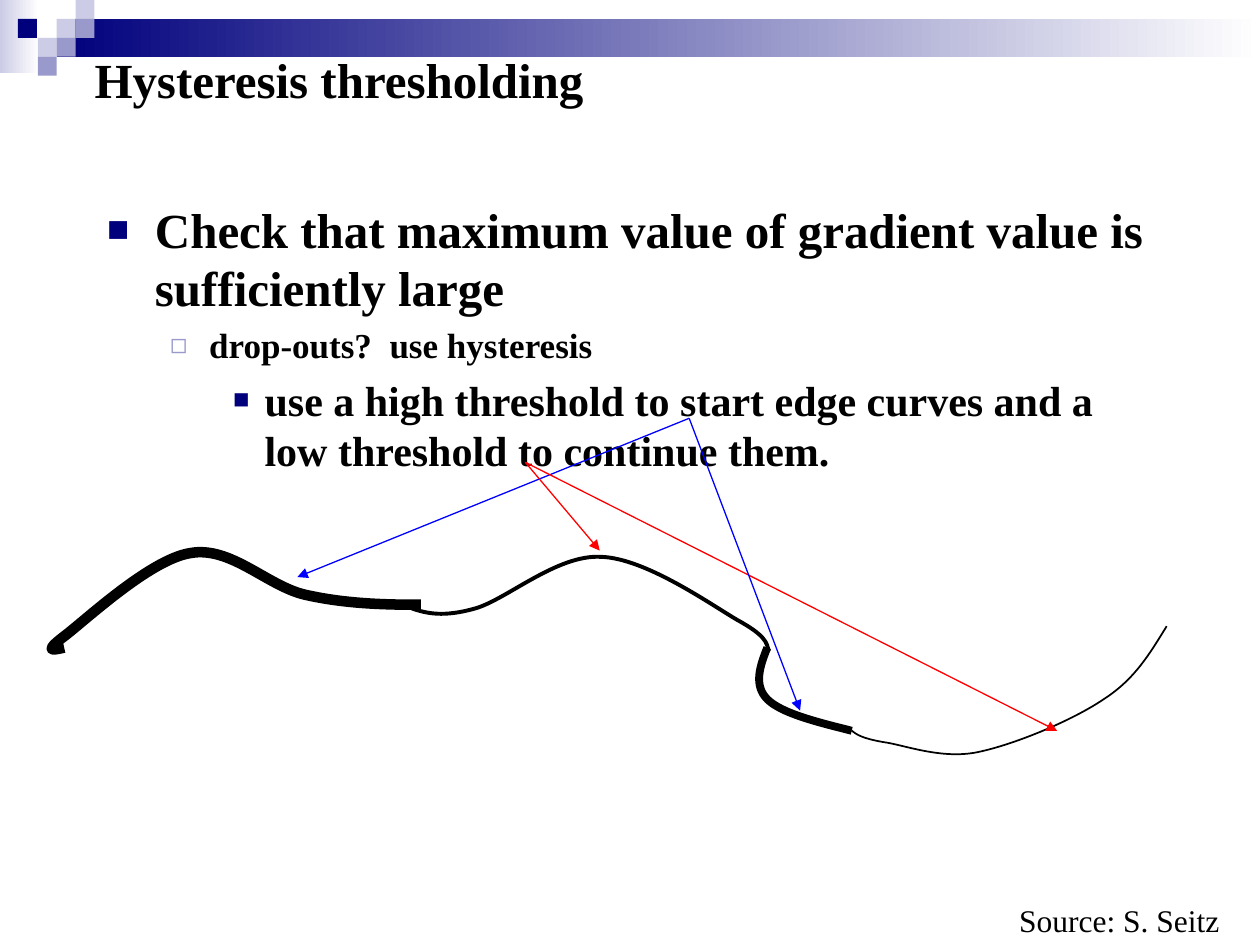
from lxml import etree
from pptx import Presentation, util as u
from pptx.dml.color import RGBColor
from pptx.enum import shapes, text
from pptx.oxml import ns

BLACK = RGBColor(0x00, 0x00, 0x00)
WHITE = RGBColor(0xFF, 0xFF, 0xFF)
NAVY = RGBColor(0x00, 0x00, 0x7D)
LILAC = RGBColor(0x99, 0x99, 0xCC)
PALE = RGBColor(0xCC, 0xCC, 0xE6)
BLUE = RGBColor(0x00, 0x00, 0xFF)
RED = RGBColor(0xFF, 0x00, 0x00)
FONT = "Times New Roman"
SQUARE = 0.15  # side of one header grid cell, in inches


def add_run(paragraph, words, **formats):
    run = paragraph.add_run()
    run.text = words
    run.font.color.rgb = BLACK
    for name, value in {"name": FONT, **formats}.items():
        setattr(run.font, name, value)


def add_block(left, top, width, height, colors):
    block = slide.shapes.add_shape(
        shapes.MSO_SHAPE.RECTANGLE, *map(u.Inches, (left, top, width, height)))
    block.shadow.inherit = False
    block.line.fill.background()
    if len(colors) == 1:
        block.fill.solid()
        block.fill.fore_color.rgb = colors[0]
    else:
        block.fill.gradient()
        block.fill.gradient_angle = 0
        for stop, color in zip(block.fill.gradient_stops, colors):
            stop.color.rgb = color


presentation = Presentation()
presentation.slide_width, presentation.slide_height = u.Inches(10), u.Inches(7.5)
slide = presentation.slides.add_slide(presentation.slide_layouts[1])

# Header: two fading bars and a mosaic of squares (column, row, colour)
add_block(0, 0, 0.31, 0.58, [PALE, WHITE])
add_block(3 * SQUARE, SQUARE, 10 - 3 * SQUARE, 2 * SQUARE, [NAVY, WHITE])
for column, row, color in [(3, 1, PALE), (4, 0, PALE), (4, 1, LILAC), (2, 2, PALE),
                           (0.95, 1, NAVY), (3, 2, LILAC), (2, 3, LILAC)]:
    add_block(column * SQUARE, row * SQUARE, SQUARE, SQUARE, [color])

# Title and body placeholders, brought in front of the header
title, body = slide.placeholders
for placeholder, top, height, anchor in [
        (title, 0, 1.25, text.MSO_ANCHOR.MIDDLE), (body, 1.47, 4.5, text.MSO_ANCHOR.TOP)]:
    slide.shapes._spTree.append(placeholder._element)
    placeholder.left = u.Inches(0.65 if placeholder is title else 0.75)
    placeholder.top, placeholder.height = u.Inches(top), u.Inches(height)
    placeholder.width = u.Inches(8.5)
    frame_formats = {"auto_size": text.MSO_AUTO_SIZE.NONE, "word_wrap": True,
                     "vertical_anchor": anchor}
    for name, value in frame_formats.items():
        setattr(placeholder.text_frame, name, value)
body.text_frame.margin_top = u.Inches(0.11)

heading = title.text_frame.paragraphs[0]
heading.alignment = text.PP_ALIGN.LEFT
add_run(heading, "Hysteresis thresholding", size=u.Pt(28), bold=True)

# Bullets: words, size, text indent, hanging indent, symbol, colour, symbol size
bullets = [
    ("Check that maximum value of gradient value is sufficiently large",
     28, 0.38, 0.38, "■", NAVY, 75),
    ("drop-outs?  use hysteresis", 20, 0.81, 0.31, "◻", LILAC, 80),
    ("use a high threshold to start edge curves and a low threshold to continue them.",
     24, 1.25, 0.25, "■", NAVY, 65),
]
for level, (words, size, indent, hanging, symbol, color, percent) in enumerate(bullets):
    paragraph = body.text_frame.add_paragraph() if level else body.text_frame.paragraphs[0]
    paragraph.level = level
    paragraph.space_before = u.Pt(0.2 * size if level else 0)
    properties = paragraph._p.get_or_add_pPr()
    properties.set("marL", str(u.Inches(indent)))
    properties.set("indent", str(-u.Inches(hanging)))
    bullet_color = etree.SubElement(properties, ns.qn("a:buClr"))
    etree.SubElement(bullet_color, ns.qn("a:srgbClr"), val=str(color))
    etree.SubElement(properties, ns.qn("a:buSzPct"), val=str(percent * 1000))
    etree.SubElement(properties, ns.qn("a:buChar"), char=symbol)
    add_run(paragraph, words, size=u.Pt(size), bold=True)

# Edge curves: width in points, then start and Bezier points in hundredths of an inch
edge_curves = [
    (6, [(51, 514), (42, 516), (34, 518), (51, 505), (67, 493), (119, 444), (151, 439),
         (183, 433), (212, 465), (242, 472), (273, 479), (303, 480), (334, 480)]),
    (2.25, [(327, 483), (339, 487), (352, 490), (377, 483), (402, 476), (442, 440),
            (477, 442), (512, 443), (563, 479), (585, 492), (607, 504), (609, 510),
            (610, 517)]),
    (4.5, [(609, 514), (603, 529), (598, 544), (609, 555), (620, 566), (648, 573),
           (676, 580)]),
    (1, [(676, 580), (680, 583), (684, 586), (701, 589), (717, 591), (747, 603),
         (776, 597), (805, 591), (851, 572), (876, 555), (901, 539), (913, 518),
         (926, 497)]),
]
for weight, points in edge_curves:
    builder = slide.shapes.build_freeform(*points[0], scale=u.Inches(0.01))
    builder.add_line_segments(points[1:], close=False)
    curve = builder.convert_to_shape()
    curve.shadow.inherit = False
    curve.fill.background()
    curve.line.color.rgb, curve.line.width = BLACK, u.Pt(weight)
    # Every three line segments become one cubic Bezier segment
    outline = curve._element.find(".//" + ns.qn("a:path"))
    segments = outline.findall(ns.qn("a:lnTo"))
    for first in range(0, len(segments), 3):
        bezier = etree.SubElement(outline, ns.qn("a:cubicBezTo"))
        for segment in segments[first:first + 3]:
            bezier.append(segment[0])
            outline.remove(segment)

# Source note
note = slide.shapes.add_textbox(*map(u.Inches, (7.99, 7.1, 2.01, 0.4)))
note.text_frame.word_wrap = True
add_run(note.text_frame.paragraphs[0], "Source: S. Seitz", size=u.Pt(18))

# Arrows from the two threshold words to the curve parts
HIGH, LOW = (5.47, 3.32), (4.17, 3.67)
for start, end, color in [(HIGH, (2.36, 4.58), BLUE), (LOW, (4.76, 4.37), RED),
                          (LOW, (8.39, 5.8), RED), (HIGH, (6.35, 5.64), BLUE)]:
    arrow = slide.shapes.add_connector(
        shapes.MSO_CONNECTOR.STRAIGHT, *map(u.Inches, start + end))
    arrow.line.color.rgb, arrow.line.width = color, u.Pt(0.75)
    etree.SubElement(arrow.line._get_or_add_ln(), ns.qn("a:tailEnd"), type="triangle")
    etree.SubElement(arrow._element.spPr, ns.qn("a:effectLst"))

presentation.save("out.pptx")
